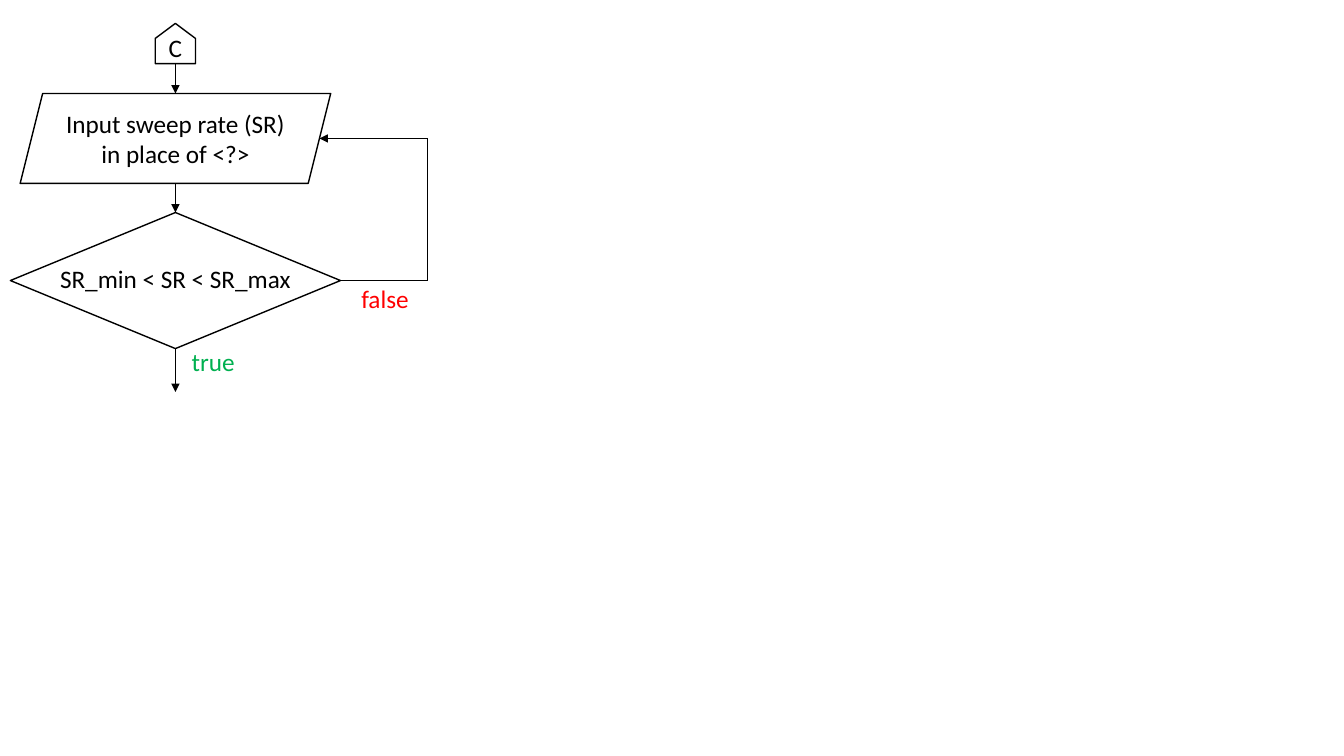
"""Build the sweep rate validation flowchart slide."""
from dataclasses import dataclass

import pptx
import pptx.dml.color
import pptx.enum.shapes
import pptx.enum.text
import pptx.oxml
import pptx.oxml.ns
import pptx.slide
import pptx.text.text
import pptx.util

Pt = pptx.util.Pt
Shape = pptx.enum.shapes.MSO_SHAPE


@dataclass(frozen=True)
class Theme:
    font: str = "Calibri"
    size: float = 18
    line_width: float = 1
    ink: str = "000000"
    accepted: str = "00B050"
    rejected: str = "FF0000"


@dataclass(frozen=True)
class Node:
    preset: Shape
    center_y: float
    width: float
    height: float
    text: str = ""
    rotation: float = 0
    adjustment: float | None = None

    @property
    def top(self) -> float:
        return self.center_y - self.height / 2

    @property
    def bottom(self) -> float:
        return self.center_y + self.height / 2


@dataclass(frozen=True)
class Flow:
    start: tuple[float, float]
    end: tuple[float, float]
    arrow: bool = True


@dataclass(frozen=True)
class Label:
    text: str
    center_x: float
    center_y: float
    width: float
    color: str


THEME = Theme()
SPINE_X = 125.3
LOOP_X = 305.4
LABEL_HEIGHT = 29


def rgb(color: str) -> pptx.dml.color.RGBColor:
    """Return the colour for a hexadecimal value."""
    return pptx.dml.color.RGBColor.from_string(color)


def write_text(frame: pptx.text.text.TextFrame, text: str, *, color: str = THEME.ink,
               size: float = THEME.size, wrap: bool = True) -> None:
    """Write centred text with the given format."""
    frame.word_wrap = wrap
    paragraph = frame.paragraphs[0]
    paragraph.alignment = pptx.enum.text.PP_ALIGN.CENTER
    run = paragraph.add_run()
    run.text = text
    run.font.name = THEME.font
    run.font.size = Pt(size)
    run.font.color.rgb = rgb(color)


def draw_node(slide: pptx.slide.Slide, node: Node) -> None:
    """Draw an outlined step centred on the flowchart spine."""
    step = slide.shapes.add_shape(node.preset, Pt(SPINE_X - node.width / 2), Pt(node.top),
                                  Pt(node.width), Pt(node.height))
    step.shadow.inherit = False
    step.fill.background()
    step.line.color.rgb = rgb(THEME.ink)
    step.line.width = Pt(THEME.line_width)
    step.rotation = node.rotation
    if node.adjustment is not None:
        step.adjustments[0] = node.adjustment
    if node.text:
        step.text_frame.vertical_anchor = pptx.enum.text.MSO_ANCHOR.MIDDLE
        write_text(step.text_frame, node.text)
    if node.rotation:
        step.text_frame._txBody.bodyPr.set("vert", "vert")


def draw_flow(slide: pptx.slide.Slide, flow: Flow) -> None:
    """Draw a straight flow line, with an arrowhead where needed."""
    link = slide.shapes.add_connector(pptx.enum.shapes.MSO_CONNECTOR.STRAIGHT,
                                      *(Pt(value) for value in flow.start + flow.end))
    link.line.color.rgb = rgb(THEME.ink)
    link.line.width = Pt(THEME.line_width)
    namespace = pptx.oxml.ns.nsdecls("a")
    if flow.arrow:
        link.get_or_add_ln().append(
            pptx.oxml.parse_xml(f'<a:tailEnd {namespace} type="triangle"/>'))
    link._element.spPr.append(pptx.oxml.parse_xml(f"<a:effectLst {namespace}/>"))


def draw_label(slide: pptx.slide.Slide, label: Label) -> None:
    """Draw a label centred on its point."""
    caption = slide.shapes.add_textbox(Pt(label.center_x - label.width / 2),
                                       Pt(label.center_y - LABEL_HEIGHT / 2),
                                       Pt(label.width), Pt(LABEL_HEIGHT))
    caption.text_frame.auto_size = pptx.enum.text.MSO_AUTO_SIZE.SHAPE_TO_FIT_TEXT
    write_text(caption.text_frame, label.text, color=label.color, wrap=False)


def main() -> None:
    """Lay out the flowchart and save the presentation."""
    presentation = pptx.Presentation()
    presentation.slide_width, presentation.slide_height = Pt(960), Pt(540)
    slide = presentation.slides.add_slide(presentation.slide_layouts.get_by_name("Blank"))

    entry = Node(Shape.PENTAGON, 31.1, 28.8, 28.8, "C", rotation=270, adjustment=0.374)
    rate_input = Node(Shape.PARALLELOGRAM, 98.9, 221.8, 64.2,
                      "Input sweep rate (SR) in place of <?>")
    range_check = Node(Shape.DIAMOND, 200.4, 235.8, 97.2)
    check_right = SPINE_X + range_check.width / 2
    input_right = SPINE_X + rate_input.width / 2 - rate_input.height / 8

    for node in (entry, rate_input, range_check):
        draw_node(slide, node)

    spine_stops = ((entry.bottom, rate_input.top), (rate_input.bottom, range_check.top),
                   (range_check.bottom, 280))
    for start_y, end_y in spine_stops:
        draw_flow(slide, Flow((SPINE_X, start_y), (SPINE_X, end_y)))

    retry_stops = ((check_right, range_check.center_y), (LOOP_X, range_check.center_y),
                   (LOOP_X, rate_input.center_y), (input_right, rate_input.center_y))
    for start, end in zip(retry_stops, retry_stops[1:]):
        draw_flow(slide, Flow(start, end, arrow=end == retry_stops[-1]))

    for label in (
        Label("SR_min < SR < SR_max", SPINE_X, 199, 181.4, THEME.ink),
        Label("true", 152.3, 258.6, 45.4, THEME.accepted),
        Label("false", 275, 213.3, 49, THEME.rejected),
    ):
        draw_label(slide, label)

    presentation.save("out.pptx")


main()
